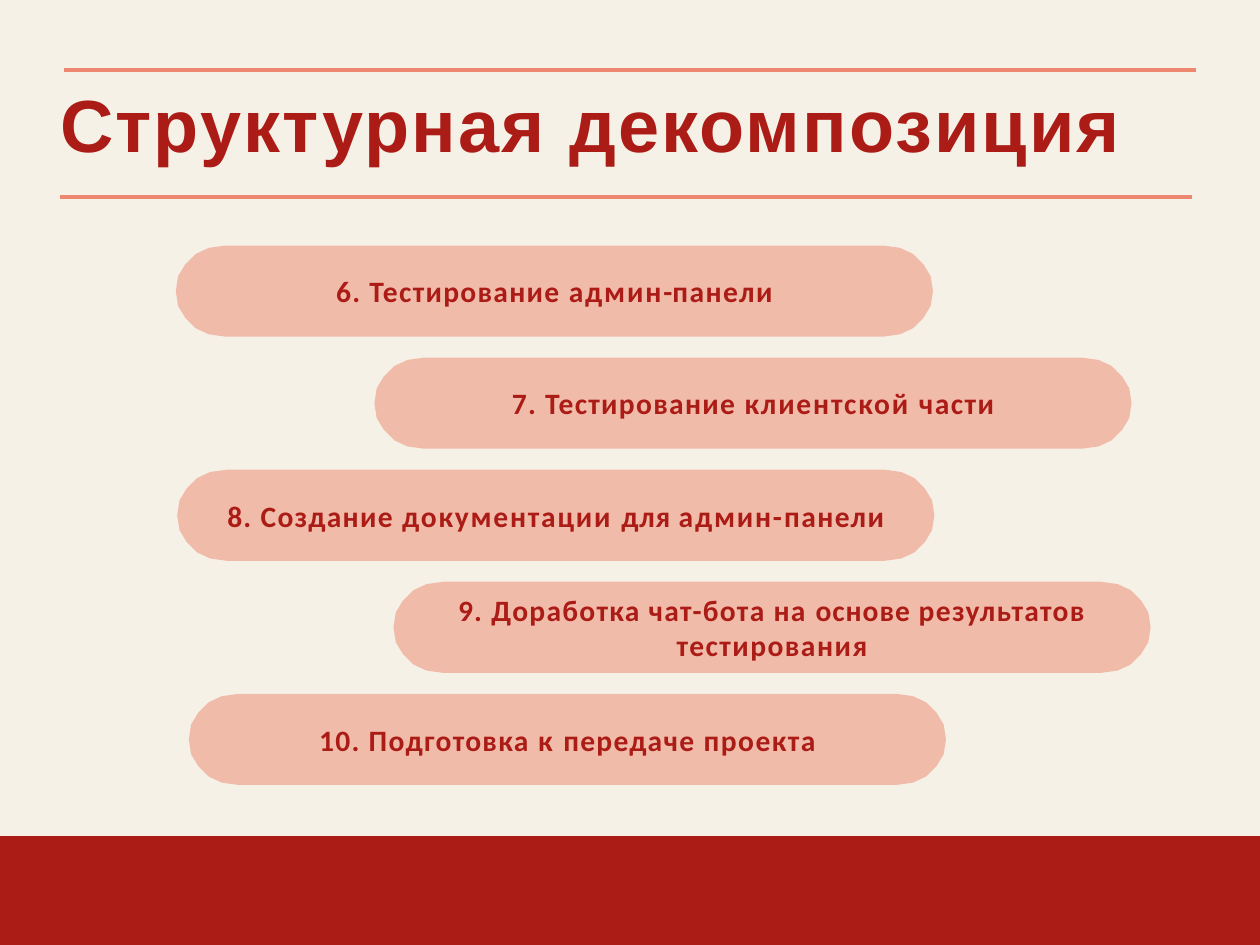
from dataclasses import dataclass
from lxml import etree
from pptx import Presentation
from pptx.dml.color import RGBColor
from pptx.enum.shapes import MSO_CONNECTOR, MSO_SHAPE
from pptx.enum.text import MSO_ANCHOR, PP_ALIGN
from pptx.oxml.ns import qn
from pptx.util import Cm, Pt

RECT = MSO_SHAPE.RECTANGLE
LINE = MSO_CONNECTOR.STRAIGHT
MIDDLE = MSO_ANCHOR.MIDDLE
CENTER = PP_ALIGN.CENTER


@dataclass
class Theme:
    cream: RGBColor = RGBColor.from_string("F6F1E7")
    red: RGBColor = RGBColor.from_string("AC1C17")
    coral: RGBColor = RGBColor.from_string("ED876F")
    head: Pt = Pt(45)
    body: Pt = Pt(18)
    rule: Pt = Pt(2.25)


theme = Theme()


def write(frame, runs, font, size):
    frame.word_wrap = True
    frame.margin_left = frame.margin_right = 0
    frame.margin_top = frame.margin_bottom = 0
    para = frame.paragraphs[0]
    for text, gap in runs:
        run = para.add_run()
        run.text = text
        run.font.name = font
        run.font.size = size
        run.font.bold = True
        run.font.color.rgb = theme.red
        run._r.get_or_add_rPr().set("spc", str(round(gap * 100)))
    return para


def paint(shape, color):
    shape.shadow.inherit = False
    shape.fill.solid()
    shape.fill.fore_color.rgb = color
    shape.line.fill.background()


prs = Presentation()
prs.slide_width = Cm(27.09)
prs.slide_height = Cm(20.32)
slide = prs.slides.add_slide(prs.slide_layouts[6])
shapes = slide.shapes

for top, high, color in [(0, 17.98, theme.cream), (17.98, 2.34, theme.red)]:
    band = shapes.add_shape(RECT, 0, Cm(top), prs.slide_width, Cm(high))
    paint(band, color)

for left, top in [(1.3, 4.24), (1.38, 1.5)]:
    rule = shapes.add_connector(LINE, Cm(left), Cm(top), Cm(left + 24.33), Cm(top))
    rule.line.color.rgb = theme.coral
    rule.line.width = theme.rule
    etree.SubElement(rule._element.spPr, qn("a:effectLst"))

title = shapes.add_textbox(Cm(1.3), Cm(1.85), Cm(24.33), Cm(1.78))
para = write(title.text_frame, [("Структурная декомпозиция", 1.3)], "Arial", theme.head)
para.line_spacing = 0.9
title.text_frame.margin_top = Cm(0.05)

steps = [
    (3.78, [("6. Тестирование ", 0.8), ("админ", 1.1), ("-", -0.8), ("панели", 0.9)]),
    (8.05, [("7. Тестирование ", 0.8), ("клиентской ", 1.1), ("части", 0.9)]),
    (3.81, [("8. Создание ", 0.8), ("документации ", 1.1), ("для ", 0.5),
            ("админ-", 1.1), ("панели", 0.9)]),
    (8.46, [("9. Доработка чат-бота на ", 0.8), ("основе ", 0.6),
            ("результатов ", 0.8), ("тестирования", 0.9)]),
    (4.06, [("10. Подготовка ", 0.8), ("к ", 1.2), ("передаче ", 0.8), ("проекта", 0.9)]),
]
wide, high = 16.28, 1.96
curve = [(1.07, 0), (0.71, 0.05), (0.43, 0.18), (0.2, 0.41), (0.05, 0.66), (0, 0.98)]
side = curve + [(x, high - y) for x, y in curve[-2::-1]]
edge = side + [(wide - x, y) for x, y in side[::-1]]

for row, (left, runs) in enumerate(steps):
    top = 5.28 + 2.41 * row
    dots = [(Cm(left + x), Cm(top + y)) for x, y in edge]
    form = shapes.build_freeform(*dots[0])
    form.add_line_segments(dots[1:], close=True)
    pill = form.convert_to_shape()
    paint(pill, theme.coral)
    tint = pill._element.spPr.find(qn("a:solidFill")).find(qn("a:srgbClr"))
    etree.SubElement(tint, qn("a:alpha")).set("val", "50000")
    para = write(pill.text_frame, runs, "Calibri", theme.body)
    para.alignment = CENTER
    pill.text_frame.vertical_anchor = MIDDLE

prs.save("out.pptx")
